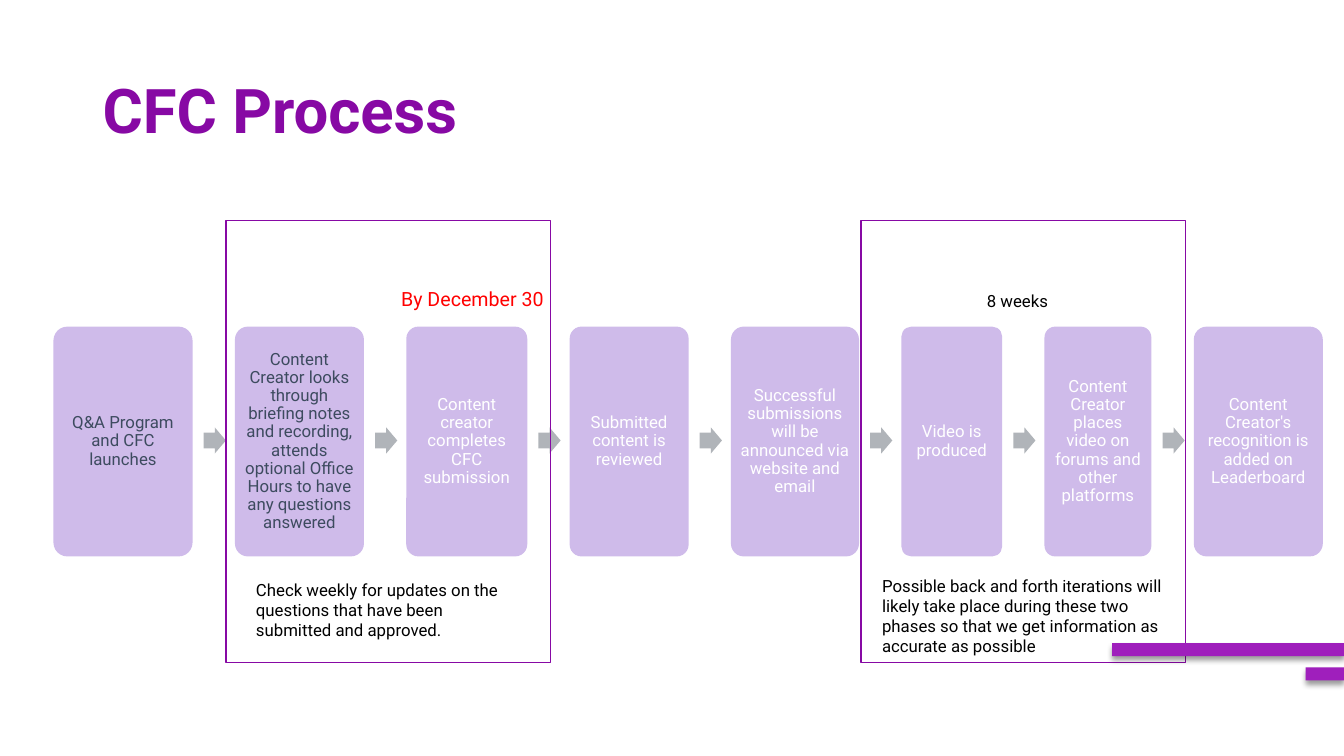
from lxml import etree
from pptx import Presentation
from pptx import util as u
from pptx.dml.color import RGBColor
from pptx.enum import shapes, text
from pptx.oxml.ns import qn

PX = 9144  # 100 px to the inch
FONT = "Roboto"
PURPLE, VIOLET, LILAC, GREY = "8709A4", "9F1FBC", "CFBBEA", "B0B4B9"
SLATE, WHITE, BLACK, RED = "3D4B5F", "FFFFFF", "000000", "FF0000"
KIND = shapes.MSO_SHAPE
GAP = 42

STEPS = [
    (138, SLATE, "Q&A Program and CFC launches"),
    (128, SLATE, "Content Creator looks through briefing notes and recording, "
                 "attends optional Office Hours to have any questions answered"),
    (120, WHITE, "Content creator completes CFC submission"),
    (118, WHITE, "Submitted content is reviewed"),
    (127, WHITE, "Successful submissions will be announced via website and email"),
    (100, WHITE, "Video is produced"),
    (106, WHITE, "Content Creator places video on forums and other platforms"),
    (128, WHITE, "Content Creator's recognition is added on Leaderboard"),
]


def color(code):
    return RGBColor.from_string(code)


def emu(*sizes):
    return [u.Emu(size * PX) for size in sizes]


def block(slide, kind, box, fill=None, line=None):
    shape = slide.shapes.add_shape(kind, *emu(*box))
    shape.shadow.inherit = False
    if fill:
        shape.fill.solid()
        shape.fill.fore_color.rgb = color(fill)
    else:
        shape.fill.background()
    if line:
        shape.line.color.rgb = color(line)
        shape.line.width = u.Pt(1)
    else:
        shape.line.fill.background()
    return shape


def write(shape, words, size, ink, bold=False, pad=(10, 5), center=False,
          middle=False, space=None):
    frame = shape.text_frame
    frame.word_wrap = True
    frame.margin_left = frame.margin_right = u.Emu(pad[0] * PX)
    frame.margin_top = frame.margin_bottom = u.Emu(pad[1] * PX)
    anchor = text.MSO_ANCHOR
    frame.vertical_anchor = anchor.MIDDLE if middle else anchor.TOP
    para = frame.paragraphs[0]
    para.alignment = text.PP_ALIGN.CENTER if center else text.PP_ALIGN.LEFT
    para.line_spacing = space
    run = para.add_run()
    run.text = words
    run.font.name = FONT
    run.font.size = u.Pt(size)
    run.font.bold = bold
    run.font.color.rgb = color(ink)


def label(slide, box, words, size, ink, **style):
    write(slide.shapes.add_textbox(*emu(*box)), words, size, ink, **style)


def flow(slide, left, top, height):
    """Draw the row of steps with an arrow in each gap."""
    for index, (width, ink, words) in enumerate(STEPS):
        if index:
            arrow = block(slide, KIND.RIGHT_ARROW,
                          (left - 31, top + height // 2 - 14, 22, 26), GREY)
            arrow.adjustments[0] = 0.6
        card = block(slide, KIND.ROUNDED_RECTANGLE,
                     (left, top, width, height), LILAC)
        card.adjustments[0] = 0.1
        write(card, words, 12, ink, pad=(5, 5), center=True, middle=True,
              space=0.9)
        left += width + GAP


def phase(slide, left, top, note, when):
    """Frame a pair of steps; note and when hold a box within the frame and text."""
    block(slide, KIND.RECTANGLE, (left, top, 322, 438), line=PURPLE)
    for (x, y, width, height), words, size, ink in (note, when):
        label(slide, (left + x, top + y, width, height), words, size, ink)


def accent(slide, left, top, width):
    bar = block(slide, KIND.RECTANGLE, (left, top, width, 13), VIOLET)
    effects = bar._element.spPr.find(qn("a:effectLst"))
    shade = etree.SubElement(effects, qn("a:outerShdw"), blurRad=str(u.Pt(4)),
                             dist=str(u.Pt(3)), dir="5400000", algn="t",
                             rotWithShape="0")
    tint = etree.SubElement(shade, qn("a:srgbClr"), val=BLACK)
    etree.SubElement(tint, qn("a:alpha"), val="40000")


def main():
    deck = Presentation()
    deck.slide_width, deck.slide_height = u.Inches(13.33), u.Inches(7.5)
    slide = deck.slides.add_slide(deck.slide_layouts[6])
    label(slide, (92, 40, 1150, 145), "CFC Process", 44, PURPLE, bold=True,
          middle=True, space=0.9)
    flow(slide, 53, 324, 228)
    phase(slide, 224, 219,
          ((20, 351, 282, 71), "Check weekly for updates on the questions that "
           "have been submitted and approved.", 12, BLACK),
          ((164, 61, 182, 34), "By December 30", 14, RED))
    phase(slide, 854, 219,
          ((11, 347, 311, 91), "Possible back and forth iterations will likely "
           "take place during these two phases so that we get information as "
           "accurate as possible", 12, BLACK),
          ((115, 65, 104, 30), "8 weeks", 12, BLACK))
    accent(slide, 1103, 638, 230)
    accent(slide, 1295, 662, 38)
    deck.save("out.pptx")


if __name__ == "__main__":
    main()
